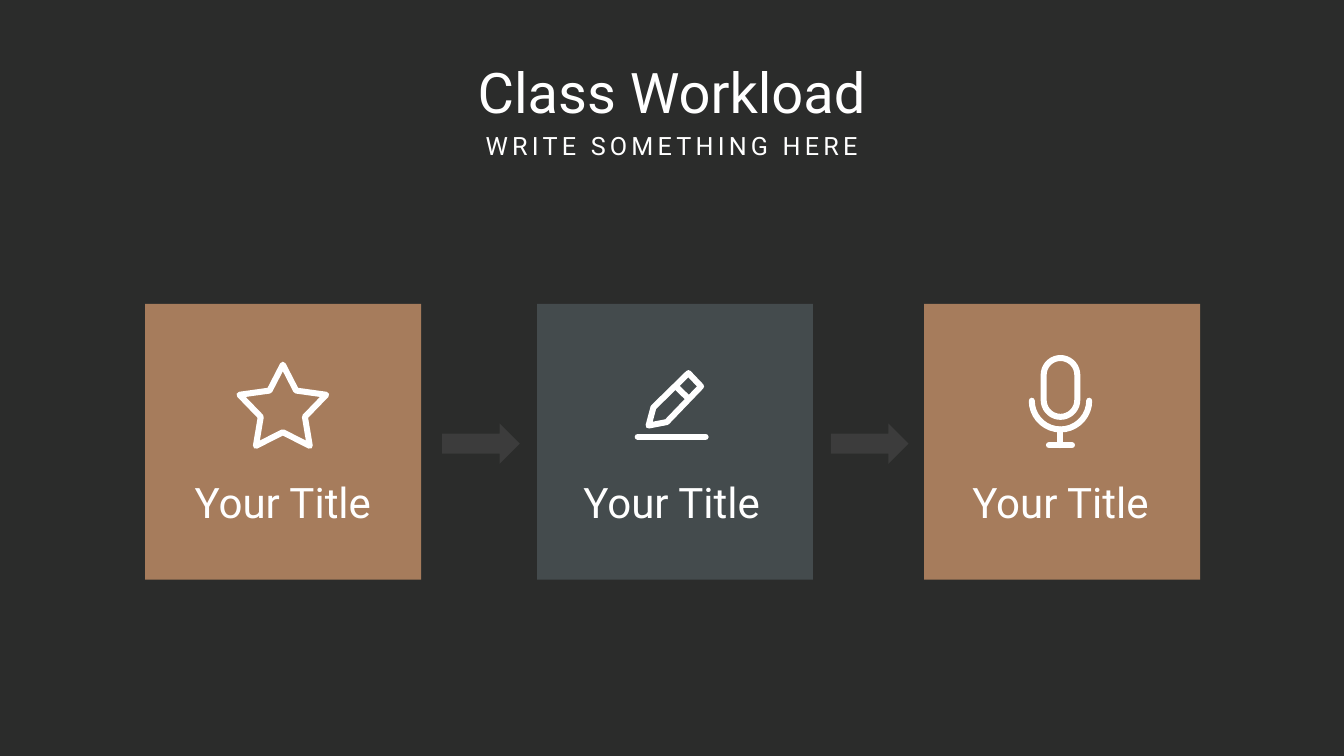
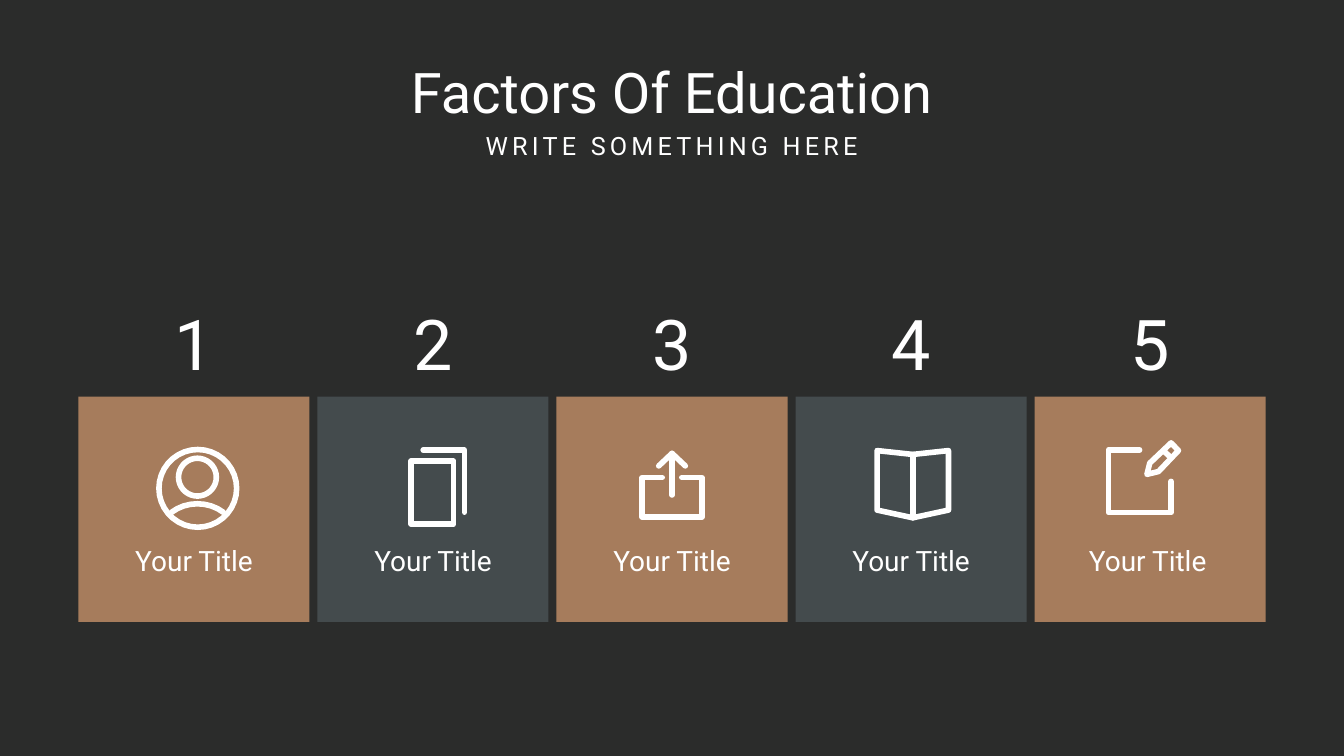
"""Build two dark education slides: a three-step workload flow and five numbered factors."""
from dataclasses import dataclass
from math import cos, radians, sin

from lxml import etree
from pptx import Presentation
from pptx.dml.color import RGBColor
from pptx.enum.shapes import MSO_SHAPE
from pptx.enum.text import MSO_AUTO_SIZE, PP_ALIGN
from pptx.oxml.ns import qn
from pptx.util import Pt

RECTANGLE = MSO_SHAPE.RECTANGLE
RIGHT_ARROW = MSO_SHAPE.RIGHT_ARROW
GROW = MSO_AUTO_SIZE.SHAPE_TO_FIT_TEXT
CENTER = PP_ALIGN.CENTER


@dataclass(frozen=True)
class Theme:
    font: str = "Roboto"
    background: RGBColor = RGBColor(0x2B, 0x2C, 0x2B)
    white: RGBColor = RGBColor(0xFF, 0xFF, 0xFF)
    arrow: RGBColor = RGBColor(0x80, 0x80, 0x80)
    tiles: tuple = (RGBColor(0xA6, 0x7C, 0x5C), RGBColor(0x44, 0x4B, 0x4D))
    title: int = 80
    subtitle: int = 36
    step: int = 60
    factor: int = 40
    number: int = 100


theme = Theme()


def add_text(page, text, center, top, width, height, size, spacing=0, wrap=True):
    box = page.shapes.add_textbox(Pt(center - width / 2), Pt(top), Pt(width), Pt(height))
    box.text_frame.word_wrap = wrap
    box.text_frame.auto_size = GROW
    para = box.text_frame.paragraphs[0]
    para.alignment = CENTER
    span = para.add_run()
    span.text = text
    span.font.name = theme.font
    span.font.size = Pt(size)
    span.font.color.rgb = theme.white
    if spacing:
        span.font._element.set("spc", str(spacing * 100))


def add_block(page, kind, left, top, width, height, color):
    block = page.shapes.add_shape(kind, Pt(left), Pt(top), Pt(width), Pt(height))
    block.shadow.inherit = False
    block.fill.solid()
    block.fill.fore_color.rgb = color
    block.line.fill.background()
    return block


deck = Presentation()
deck.slide_width = Pt(1919.5)
deck.slide_height = Pt(1080)
middle = 959.5

pages = []
for title in ("Class Workload", "Factors Of Education"):
    page = deck.slides.add_slide(deck.slide_layouts[6])
    page.background.fill.solid()
    page.background.fill.fore_color.rgb = theme.background
    add_text(page, title, middle, 78, 868, 104, theme.title)
    add_text(page, "WRITE SOMETHING HERE", middle, 183, 586, 51, theme.subtitle, spacing=6)
    pages.append(page)
workload, factors = pages

arc = [(cos(radians(angle)), sin(radians(angle))) for angle in range(0, 181, 10)]
circle = arc + [(-x, -y) for x, y in arc[1:-1]]

star_right = [(19, -20), (62, -14), (31.5, 17.5), (38.5, 59)]
star_left = [(-x, y) for x, y in reversed(star_right)]
star = [([(0, -57), *star_right, (0, 39.5), *star_left], True)]
pencil = [
    ([(-26, 4), (24, -45), (42, -26), (-7, 25), (-33, 30)], True),
    ([(8, -24), (22, -10.5)], False),
    ([(-48.5, 46), (48.5, 46)], False),
]
capsule = [(24 * x, -6.5 + 24 * y) for x, y in arc] + [(-24 * x, -42.5 - 24 * y) for x, y in arc]
microphone = [
    (capsule, True),
    ([(41 * x, -5.5 + 41 * y) for x, y in arc], False),
    ([(0, 35.5), (0, 58)], False),
    ([(-16.5, 58), (16.5, 58)], False),
]
person = [
    ([(5.5 + 55.5 * x, 55.5 * y) for x, y in circle], True),
    ([(5 + 27 * x, -16 + 27 * y) for x, y in circle], True),
    ([(5 + 57.5 * x, 74 - 52 * y) for x, y in arc[5:14]], False),
]
documents = [
    ([(-31, -39), (29.5, -39), (29.5, 51), (-31, 51)], True),
    ([(-14, -54.5), (45, -54.5), (45, 34)], False),
]
share = [
    ([(14, -15.5), (42.5, -15.5), (42.5, 41), (-42.5, 41), (-42.5, -15.5), (-14, -15.5)], False),
    ([(0, 9.5), (0, -50)], False),
    ([(-19, -32), (0, -50), (19, -32)], False),
]
book = [
    ([(-48.5, -54), (2.5, -48.5), (53.5, -54), (53.5, 31), (2.5, 42), (-48.5, 31)], True),
    ([(2.5, -48.5), (2.5, 42)], False),
]
edit = [
    ([(-15, -55), (-59.5, -55), (-59.5, 34.5), (30, 34.5), (30, -10)], False),
    ([(-0.5, -36), (30, -65), (40.5, -54), (12, -24), (-4.5, -20)], True),
    ([(21, -52), (27.5, -46)], False),
]

icons = []
step_pitch = 555.3
for index, (left, icon) in enumerate(zip((207.4, 767, 1320), (star, pencil, microphone))):
    center = 404 + index * step_pitch
    add_block(workload, RECTANGLE, left, 434, 394, 394, theme.tiles[index % 2])
    add_text(workload, "Your Title", center, 677.5, 271.5, 80, theme.step, wrap=False)
    icons.append((workload, center, 578, icon, 8.6))

for index in range(2):
    arrow = add_block(workload, RIGHT_ARROW, 631.4 + index * step_pitch, 605, 111, 57.6, theme.arrow)
    color = arrow._element.spPr.find(qn("a:solidFill"))[0]
    etree.SubElement(color, qn("a:alpha"), val="20000")

factor_pitch = 341.4
label_shifts = (0, 0, 0, 0, -3.5)
for index, icon in enumerate((person, documents, share, book, edit)):
    center = 277 + index * factor_pitch
    add_block(factors, RECTANGLE, center - 165, 566.6, 330, 322, theme.tiles[index % 2])
    add_text(factors, str(index + 1), center, 425.5, 166, 128, theme.number)
    add_text(factors, "Your Title", center + label_shifts[index], 773.3, 286, 55.5, theme.factor)
    icons.append((factors, center, 697.7, icon, 8))

for page, center, middle_y, strokes, weight in icons:
    outline = None
    for points, closed in strokes:
        placed = [(Pt(center + x), Pt(middle_y + y)) for x, y in points]
        if outline is None:
            outline = page.shapes.build_freeform(*placed[0])
        else:
            outline.move_to(*placed[0])
        outline.add_line_segments(placed[1:], close=closed)
    drawing = outline.convert_to_shape()
    drawing.shadow.inherit = False
    drawing.fill.background()
    drawing.line.color.rgb = theme.white
    drawing.line.width = Pt(weight)
    line = drawing._element.spPr.find(qn("a:ln"))
    line.set("cap", "rnd")
    etree.SubElement(line, qn("a:round"))

deck.save("out.pptx")
